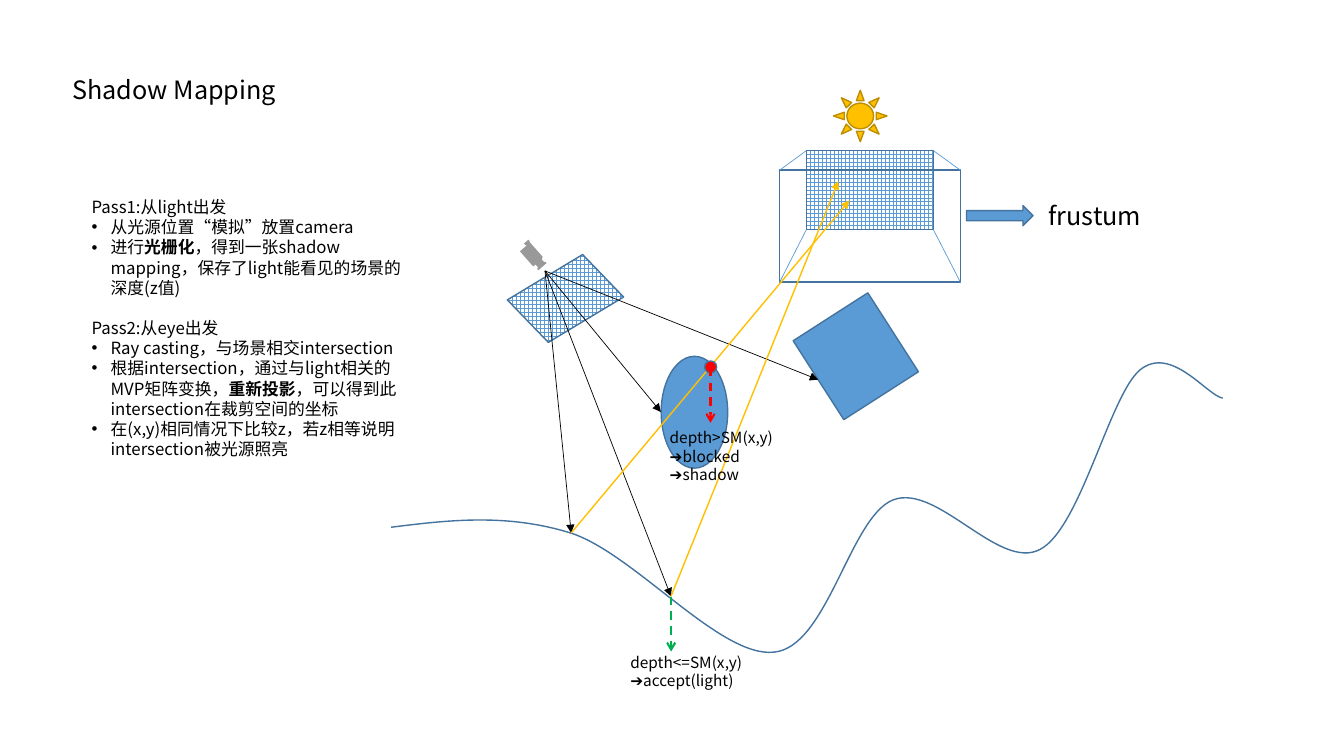
import collections

import pptx
import pptx.dml.color
import pptx.enum.dml
import pptx.enum.lang
import pptx.enum.shapes
import pptx.enum.text
import pptx.oxml.ns
import pptx.util
from lxml import etree

Pt = pptx.util.Pt
SHAPE = pptx.enum.shapes.MSO_SHAPE
FONT = "Noto Sans CJK SC"
BLUE, EDGE, GOLD, BLACK, WHITE = "5B9BD5", "43739E", "FFC000", "000000", "FFFFFF"
RED, GREEN = "FF0000", "00B050"
Box = collections.namedtuple("Box", "left top width height")


def rgb(code):
    """Turn a hex string into a colour."""
    return pptx.dml.color.RGBColor.from_string(code)


def sub(parent, tag, **attributes):
    """Append a DrawingML element."""
    return etree.SubElement(parent, pptx.oxml.ns.qn("a:" + tag), attributes)


def inside(box, x, y, width, height):
    """Box placed at an offset from another box."""
    return Box(box.left + x, box.top + y, width, height)


def place(shape, box):
    """Move and size a shape."""
    shape.left, shape.top, shape.width, shape.height = map(Pt, box)


def solid(slide, kind, box, fill=BLUE, edge=EDGE, turn=0):
    """Add a preset shape; no fill or edge when None, a grid when fill is 'grid'."""
    shape = slide.shapes.add_shape(kind, *map(Pt, box))
    shape.shadow.inherit = False
    shape.rotation = turn
    if fill == "grid":
        shape.fill.patterned()
        shape.fill.pattern = pptx.enum.dml.MSO_PATTERN.LARGE_GRID
        shape.fill.fore_color.rgb = rgb(BLUE)
        shape.fill.back_color.rgb = rgb(WHITE)
    elif fill:
        shape.fill.solid()
        shape.fill.fore_color.rgb = rgb(fill)
    else:
        shape.fill.background()
    if edge:
        shape.line.color.rgb = rgb(edge)
        shape.line.width = Pt(1)
    else:
        shape.line.fill.background()
    return shape


def link(slide, start, end, color, width, head=None, dashed=False):
    """Add a straight line, with an arrowhead at its end if named."""
    line = slide.shapes.add_connector(
        pptx.enum.shapes.MSO_CONNECTOR.STRAIGHT, *map(Pt, (*start, *end)))
    line.line.color.rgb = rgb(color)
    line.line.width = Pt(width)
    if dashed:
        line.line.dash_style = pptx.enum.dml.MSO_LINE.DASH
    if head:
        sub(line.line._get_or_add_ln(), "tailEnd", type=head)
    sub(line._element.spPr, "effectLst")


def style(paragraph, size):
    """Format every run of a left-aligned paragraph."""
    paragraph.alignment = pptx.enum.text.PP_ALIGN.LEFT
    for run in paragraph.runs:
        run.font.size = Pt(size)
        run.font.name = FONT
        run.font.color.rgb = rgb(BLACK)
        run.font.language_id = pptx.enum.lang.MSO_LANGUAGE_ID.SIMPLIFIED_CHINESE
        sub(run.font._element, "ea", typeface=FONT)


def write(shape, text, size):
    """Fill a shape with top-anchored text, one paragraph a line."""
    frame = shape.text_frame
    frame.text = text
    frame.word_wrap = True
    frame.auto_size = pptx.enum.text.MSO_AUTO_SIZE.NONE
    frame.vertical_anchor = pptx.enum.text.MSO_ANCHOR.TOP
    for paragraph in frame.paragraphs:
        style(paragraph, size)


def label(slide, box, text, size):
    """Add a text box."""
    write(slide.shapes.add_textbox(*map(Pt, box)), text, size)


def passes(body, box):
    """Write the two passes as headings with bullets; ** marks bold."""
    place(body, box)
    write(body, "\n".join((
        "Pass1:从light出发",
        "•从光源位置“模拟”放置camera",
        "•进行**光栅化**，得到一张shadow mapping，保存了light能看见的场景的深度(z值)",
        "Pass2:从eye出发",
        "•Ray casting，与场景相交intersection",
        "•根据intersection，通过与light相关的MVP矩阵变换，**重新投影**，可以得到此intersection在裁剪空间的坐标",
        "•在(x,y)相同情况下比较z，若z相等说明intersection被光源照亮")), 12)
    for number, paragraph in enumerate(body.text_frame.paragraphs):
        source = paragraph.text
        bulleted = source.startswith("•")
        paragraph.text = ""
        for part, words in enumerate(source.lstrip("•").split("**")):
            run = paragraph.add_run()
            run.text = words
            run.font.bold = part % 2 == 1
        style(paragraph, 12)
        paragraph.space_before = Pt(14.4 if number and not bulleted else 0)
        if number == 0:
            paragraph.line_spacing = 1.5
        properties = paragraph._p.get_or_add_pPr()
        indent = Pt(13.5) if bulleted else 0
        properties.set("marL", str(indent))
        properties.set("indent", str(-indent))
        if bulleted:
            sub(properties, "buFont", typeface="Arial")
            sub(properties, "buChar", char="•")
        else:
            sub(properties, "buNone")


def terrain(slide, box):
    """Draw the ground as cubic curves within the box."""
    controls = [(0, 117.4), (41, 112.3), (82.8, 107.3), (128.8, 121.7),
                (174.2, 136.8), (235.4, 211), (273.6, 206.6),
                (311.7, 203), (327.6, 110.2), (358.5, 97.9),
                (390.2, 85.7), (434.1, 149), (463.6, 133.2),
                (492.4, 118.1), (513.3, 23), (534.9, 5),
                (557.2, -13), (582.4, 23), (594, 25.2)]
    builder = slide.shapes.build_freeform(Pt(box.left), Pt(box.top))
    builder.add_line_segments(
        [(Pt(box.left + box.width), Pt(box.top + box.height))], close=False)
    ground = builder.convert_to_shape()
    outline = next(ground._element.iter(pptx.oxml.ns.qn("a:path")))
    for segment in list(outline):
        outline.remove(segment)
    for number, (x, y) in enumerate(controls):
        if number == 0:
            segment = sub(outline, "moveTo")
        elif number % 3 == 1:
            segment = sub(outline, "cubicBezTo")
        sub(segment, "pt", x=str(Pt(x)), y=str(Pt(y)))
    ground.shadow.inherit = False
    ground.fill.background()
    ground.line.color.rgb = rgb(EDGE)
    ground.line.width = Pt(1)


def corners(box):
    """Four corners of a box."""
    return [(x, y) for y in (box.top, box.top + box.height)
            for x in (box.left, box.left + box.width)]


def light(slide, box):
    """Draw the sun, its frustum and the frustum label."""
    solid(slide, SHAPE.SUN, inside(box, 38.4, 0.4, 38.2, 36.7), GOLD, "BD8E00")
    near = inside(box, 19, 43.5, 90.7, 56.4)
    far = inside(box, 0, 57.4, 128.9, 79.9)
    solid(slide, SHAPE.RECTANGLE, near, "grid")
    solid(slide, SHAPE.RECTANGLE, far, None)
    for start, end in zip(corners(near), corners(far)):
        link(slide, start, end, BLUE, 0.5)
    solid(slide, SHAPE.RIGHT_ARROW, inside(box, 133.4, 82.8, 47.5, 14.4))
    label(slide, inside(box, 184.9, 75.6, 82.8, 28.8), "frustum", 18)


def rays(slide, box):
    """Draw the camera, its rays from the box corner, and the rays to the light."""
    def at(x, y):
        return box.left + x, box.top + y

    ground_near, ground_far = at(18.7, 187.2), at(90, 232.5)
    solid(slide, SHAPE.ACTION_BUTTON_MOVIE, inside(box, -23, -25.2, 28.1, 28.8),
          WHITE, None, 48.6)
    for target in (ground_near, ground_far, at(82.8, 100.8), at(195.1, 77.7)):
        link(slide, at(0, 0), target, BLACK, 0.5, "triangle")
    link(slide, ground_near, at(217.5, -50.4), GOLD, 1, "triangle")
    link(slide, ground_far, at(209.5, -64.1), GOLD, 1, "triangle")
    solid(slide, SHAPE.OVAL, inside(box, 114, 64.3, 8.6, 8.6), RED)


def depth_test(slide, box, color, text, drop):
    """Draw a dashed depth arrow with its result below."""
    x = box.left + 36.2
    link(slide, (x, box.top), (x, box.top + 39.2), color, 1.5, "arrow", True)
    label(slide, inside(box, 0, drop, box.width, box.height - drop), text, 11)


def main():
    """Build the slide."""
    deck = pptx.Presentation()
    deck.slide_width, deck.slide_height = Pt(960), Pt(540)
    slide = deck.slides.add_slide(deck.slide_layouts[1])
    title, body = slide.placeholders
    place(title, Box(44.6, 49.7, 162, 28.8))
    write(title, "Shadow Mapping", 18)
    passes(body, Box(58.3, 129.8, 237.6, 189.4))
    solid(slide, SHAPE.PARALLELOGRAM, Box(375.8, 182.6, 56.2, 61.2), "grid", turn=46)
    solid(slide, SHAPE.OVAL, Box(472.3, 254.5, 47.5, 79.9))
    solid(slide, SHAPE.RECTANGLE, Box(579.6, 221, 63.4, 67), turn=327.3)
    terrain(slide, Box(279.4, 259.2, 594, 207.4))
    light(slide, Box(557, 64.1, 267.8, 137.5))
    rays(slide, Box(389.3, 193.5, 217.5, 232.5))
    depth_test(slide, Box(471.3, 262.8, 96.5, 87.1), RED,
               "depth>SM(x,y)\n➔blocked\n➔shadow", 39.6)
    depth_test(slide, Box(443.2, 426.2, 96.5, 70.6), GREEN,
               "depth<=SM(x,y)\n➔accept(light)", 36.5)
    deck.save("out.pptx")


main()
